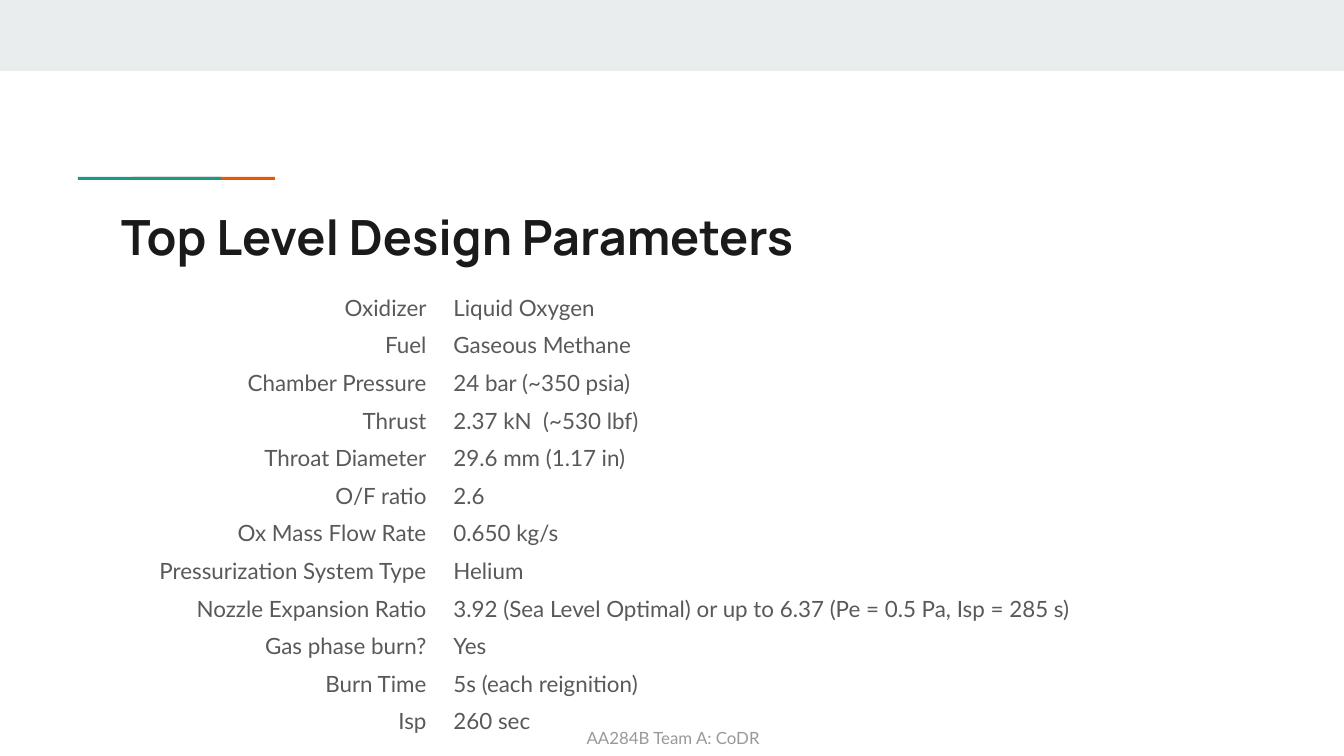
"""Build the slide of top level design parameters."""
from lxml import etree
from pptx import Presentation, util as u
from pptx.dml.color import RGBColor
from pptx.enum import shapes, text
from pptx.oxml.ns import qn

PX = 914400 / 134.4
COLORS = {"band": "E9EDEE", "orange": "EB5600", "teal": "1A9988",
          "title": "1A1A1A", "body": "595959", "footer": "999999"}
BARS = [
    ("band", (0, 0, 1344, 71)),
    ("orange", (133, 177, 142, 3)),
    ("teal", (78, 177, 143, 3)),
]
TITLE = "Top Level Design Parameters"
FOOTER = "AA284B Team A: CoDR"
PARAMETERS = [
    ("Oxidizer", "Liquid Oxygen"),
    ("Fuel", "Gaseous Methane"),
    ("Chamber Pressure", "24 bar (~350 psia)"),
    ("Thrust", "2.37 kN  (~530 lbf)"),
    ("Throat Diameter", "29.6 mm (1.17 in)"),
    ("O/F ratio", "2.6"),
    ("Ox Mass Flow Rate", "0.650 kg/s"),
    ("Pressurization System Type", "Helium"),
    ("Nozzle Expansion Ratio",
     "3.92 (Sea Level Optimal) or up to 6.37 (Pe = 0.5 Pa, Isp = 285 s)"),
    ("Gas phase burn?", "Yes"),
    ("Burn Time", "5s (each reignition)"),
    ("Isp", "260 sec"),
]
COLUMNS = [300, 681, 56]
TABLE_LEFT, TABLE_TOP, TABLE_HEIGHT = 140, 294, 452


def emu(px):
    return u.Emu(round(px * PX))


def rgb(name):
    return RGBColor.from_string(COLORS[name])


def write(tf, words, size, font, color, align, bold=False):
    tf.text = words
    p = tf.paragraphs[0]
    p.alignment = align
    for r in p.runs:
        r.font.size = u.Pt(size)
        r.font.name = font
        r.font.bold = bold
        r.font.color.rgb = rgb(color)


def add_text(s, box, *style):
    tf = s.shapes.add_textbox(*map(emu, box)).text_frame
    tf.word_wrap = True
    tf.vertical_anchor = text.MSO_ANCHOR.TOP
    tf.margin_left = tf.margin_right = tf.margin_top = tf.margin_bottom = u.Inches(0.1)
    write(tf, *style)


def add_bar(s, color, box):
    sp = s.shapes.add_shape(shapes.MSO_SHAPE.RECTANGLE, *map(emu, box))
    sp.shadow.inherit = False
    sp.fill.solid()
    sp.fill.fore_color.rgb = rgb(color)
    sp.line.fill.background()


def add_parameters(s):
    table = s.shapes.add_table(
        len(PARAMETERS), len(COLUMNS), emu(TABLE_LEFT), emu(TABLE_TOP),
        emu(sum(COLUMNS)), emu(TABLE_HEIGHT)).table
    table.first_row = table.horz_banding = False
    for column, width in zip(table.columns, COLUMNS):
        column.width = emu(width)
    for row, parameter in zip(table.rows, PARAMETERS):
        row.height = emu(TABLE_HEIGHT / len(PARAMETERS))
        for cell in row.cells:
            cell.fill.background()
            cell.margin_left = cell.margin_right = u.Inches(0.1)
            cell.margin_top = cell.margin_bottom = 0
        aligns = (text.PP_ALIGN.RIGHT, text.PP_ALIGN.LEFT)
        for cell, words, align in zip(row.cells, parameter, aligns):
            write(cell.text_frame, words, 12, "Lato", "body", align)
        spare = row.cells[len(COLUMNS) - 1].text_frame.paragraphs[0]
        etree.SubElement(spare._p, qn("a:endParaRPr"), sz="1200")


def main():
    prs = Presentation()
    prs.slide_width, prs.slide_height = emu(1344), emu(756)
    s = prs.slides.add_slide(prs.slide_layouts[6])
    add_text(s, (445, 718, 456, 31), FOOTER, 9, "Lato", "footer",
             text.PP_ALIGN.CENTER)
    for color, box in BARS:
        add_bar(s, color, box)
    add_text(s, (108, 194, 1130, 79), TITLE, 26, "Manrope", "title",
             text.PP_ALIGN.LEFT, True)
    add_parameters(s)
    prs.save("out.pptx")


if __name__ == "__main__":
    main()
